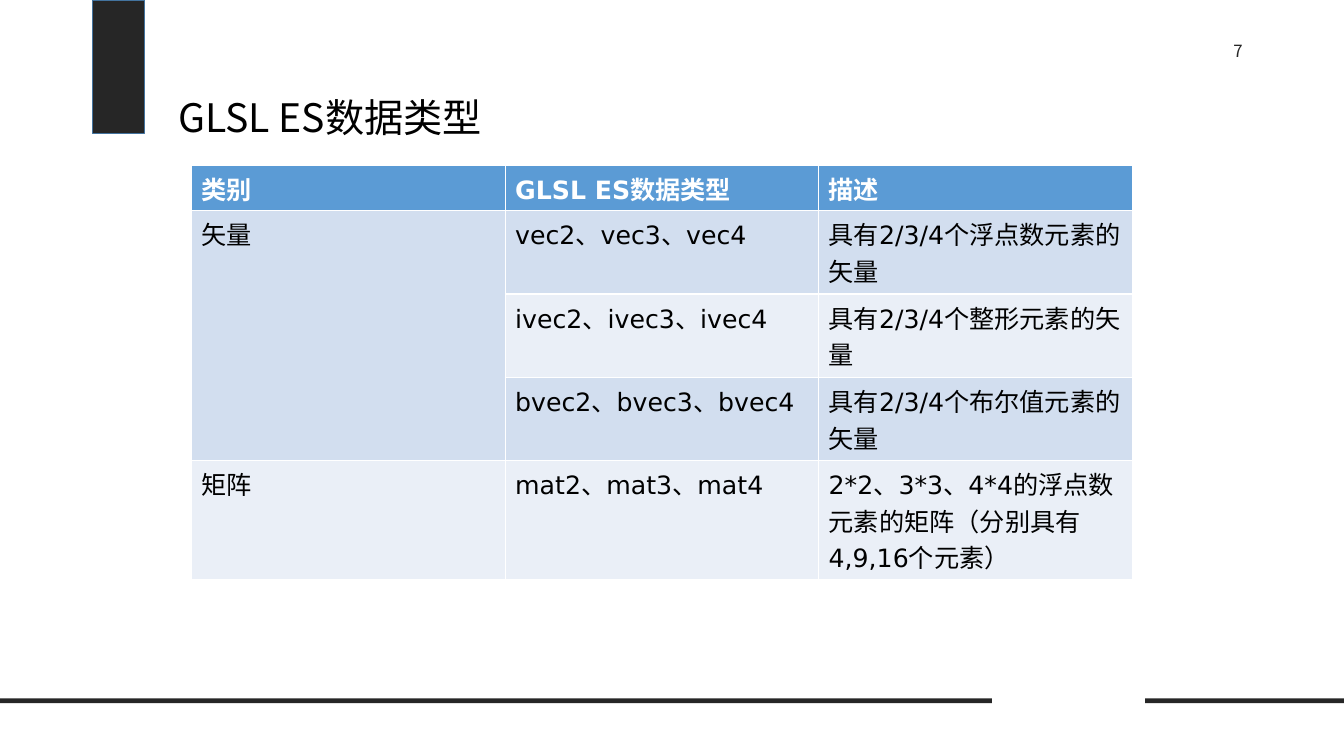
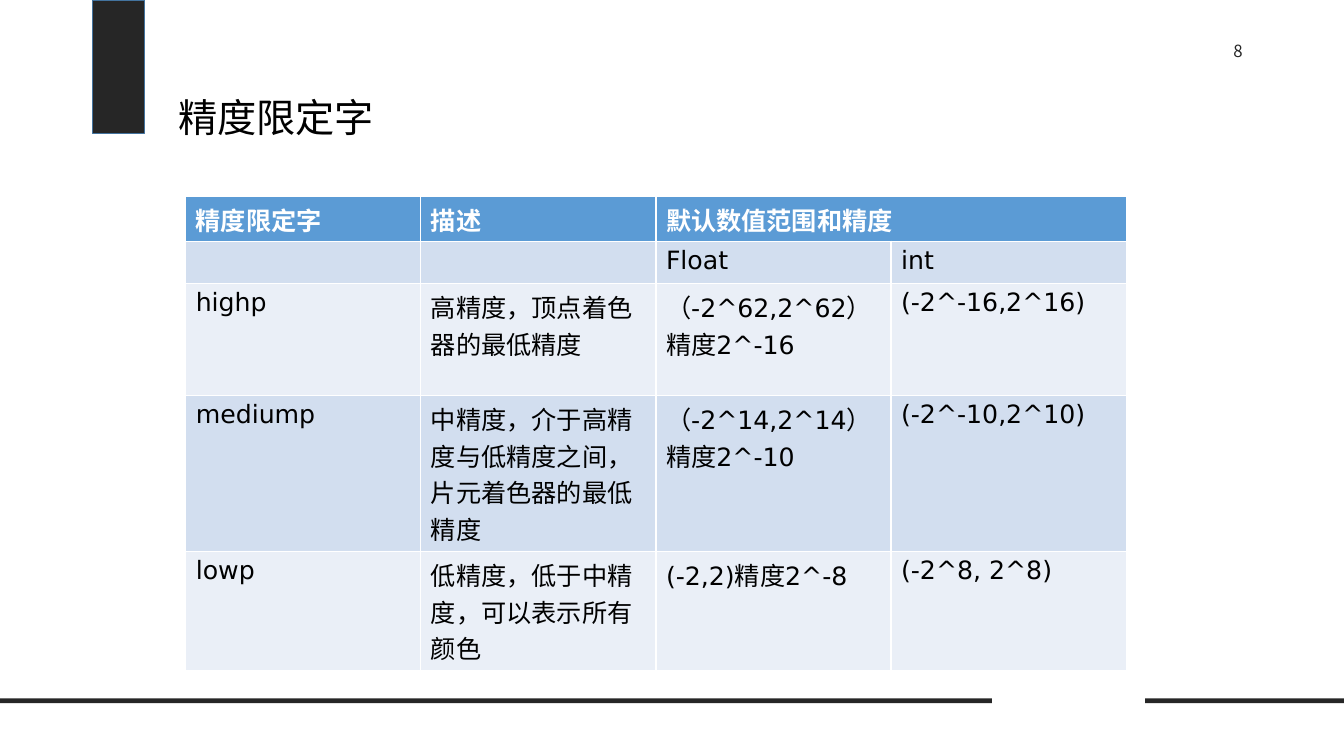
from lxml.etree import SubElement
from pptx import Presentation
from pptx.dml.color import RGBColor
from pptx.enum.shapes import MSO_SHAPE
from pptx.enum.text import MSO_ANCHOR, PP_ALIGN
from pptx.oxml.ns import qn
from pptx.util import Cm, Pt

WHITE = RGBColor(0xFF, 0xFF, 0xFF)
BLACK = RGBColor(0, 0, 0)
DARK = RGBColor(0x26, 0x26, 0x26)
TAB_LINE = RGBColor(0x43, 0x73, 0x9E)
HEADER = RGBColor(0x5B, 0x9B, 0xD5)
BANDS = (RGBColor(0xD2, 0xDE, 0xEF), RGBColor(0xEA, 0xEF, 0xF7))
CJK, LATIN = "Noto Sans CJK SC", "DejaVu Sans"

TABLE_WIDTH = 23.7
FIRST_NUMBER = 7

# Positions and row heights are in centimetres; a merge is (first cell, last cell).
SLIDES = [
    {
        "title": "GLSL ES数据类型",
        "at": (4.83, 4.17),
        "heights": (1.14, 2.1, 2.1, 2.1, 3),
        "merge": ((1, 0), (3, 0)),
        "rows": [
            ("类别", "GLSL ES数据类型", "描述"),
            ("矢量", "vec2、vec3、vec4", "具有2/3/4个浮点数元素的矢量"),
            ("", "ivec2、ivec3、ivec4", "具有2/3/4个整形元素的矢量"),
            ("", "bvec2、bvec3、bvec4", "具有2/3/4个布尔值元素的矢量"),
            ("矩阵", "mat2、mat3、mat4",
             "2*2、3*3、4*4的浮点数元素的矩阵（分别具有4,9,16个元素）"),
        ],
    },
    {
        "title": "精度限定字",
        "at": (4.68, 4.94),
        "heights": (1.14, 1.06, 2.83, 3.93, 3),
        "merge": ((0, 2), (0, 3)),
        "rows": [
            ("精度限定字", "描述", "默认数值范围和精度", ""),
            ("", "", "Float", "int"),
            ("highp", "高精度，顶点着色器的最低精度",
             "（-2^62,2^62）精度2^-16", "(-2^-16,2^16)"),
            ("mediump", "中精度，介于高精度与低精度之间，片元着色器的最低精度",
             "（-2^14,2^14）精度2^-10", "(-2^-10,2^10)"),
            ("lowp", "低精度，低于中精度，可以表示所有颜色",
             "(-2,2)精度2^-8", "(-2^8, 2^8)"),
        ],
    },
]


def style(p, size, color, latin=CJK, bold=False):
    f = p.font
    f.size, f.bold, f.name = Pt(size), bold, latin
    f.color.rgb = color
    SubElement(f._element, qn("a:ea"), typeface=CJK)


def add_bar(slide, x, y, w, h, line=None):
    sp = slide.shapes.add_shape(MSO_SHAPE.RECTANGLE, Cm(x), Cm(y), Cm(w), Cm(h))
    sp.shadow.inherit = False
    sp.fill.solid()
    sp.fill.fore_color.rgb = DARK
    if line is None:
        sp.line.fill.background()
    else:
        sp.line.color.rgb = line
        sp.line.width = Pt(1)


def add_text(slide, text, x, y, w, h, size, color):
    tf = slide.shapes.add_textbox(Cm(x), Cm(y), Cm(w), Cm(h)).text_frame
    tf.word_wrap = True
    p = tf.paragraphs[0]
    p.text = text
    style(p, size, color)
    return tf


def add_frame(slide, title, number):
    """Add the parts every slide shares: tab, bottom bars, number and title."""
    add_bar(slide, 2.33, 0, 1.31, 3.36, TAB_LINE)
    add_bar(slide, 0, 17.6, 25, 0.12)
    add_bar(slide, 28.86, 17.6, 5.01, 0.12)
    tf = add_text(slide, str(number), 30.06, 0.91, 2.28, 1.27, 12, DARK)
    tf.paragraphs[0].alignment = PP_ALIGN.CENTER
    tf = add_text(slide, title, 4.24, 1.57, 25.4, 2.11, 28, BLACK)
    tf.vertical_anchor = MSO_ANCHOR.BOTTOM
    tf.paragraphs[0].line_spacing = 0.9


def add_grid(slide, rows, at, heights, merge):
    n_cols = len(rows[0])
    table = slide.shapes.add_table(
        len(rows), n_cols, Cm(at[0]), Cm(at[1]), Cm(TABLE_WIDTH), Cm(sum(heights))
    ).table
    for col in table.columns:
        col.width = Cm(TABLE_WIDTH / n_cols)
    for i, (texts, height) in enumerate(zip(rows, heights)):
        table.rows[i].height = Cm(height)
        is_header = i == 0
        for cell, text in zip(table.rows[i].cells, texts):
            cell.fill.solid()
            cell.fill.fore_color.rgb = HEADER if is_header else BANDS[(i - 1) % 2]
            if text:
                p = cell.text_frame.paragraphs[0]
                p.text = text
                style(p, 18, WHITE if is_header else BLACK, LATIN, is_header)
    first, last = merge
    table.cell(*first).merge(table.cell(*last))


def main():
    prs = Presentation()
    prs.slide_width, prs.slide_height = Cm(33.87), Cm(19.05)
    for number, content in enumerate(SLIDES, FIRST_NUMBER):
        slide = prs.slides.add_slide(prs.slide_layouts[6])
        add_frame(slide, content["title"], number)
        add_grid(slide, content["rows"], content["at"], content["heights"],
                 content["merge"])
    prs.save("out.pptx")


if __name__ == "__main__":
    main()
